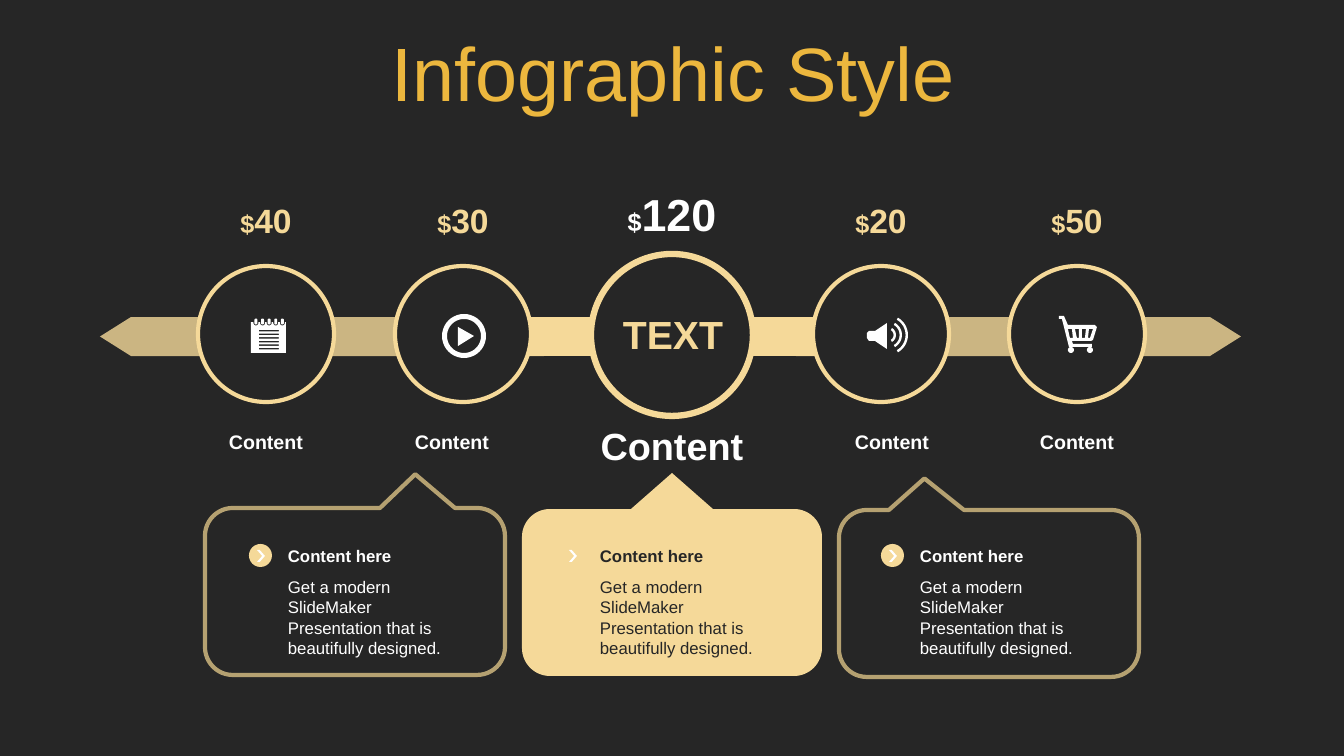
"""Build a dark infographic slide with a five-step price line and three callout cards."""
from dataclasses import dataclass
from math import cos, radians, sin

from lxml.etree import SubElement
from pptx import Presentation
from pptx.dml.color import RGBColor
from pptx.enum.shapes import MSO_SHAPE
from pptx.enum.text import MSO_ANCHOR, PP_ALIGN
from pptx.oxml.ns import qn
from pptx.util import Emu, Pt


@dataclass(frozen=True)
class Theme:
    """Colours, font and type sizes of the slide."""
    font: str = "Arial"
    dark: str = "262626"
    sand: str = "F5D999"
    bronze: str = "B5A171"
    white: str = "FFFFFF"
    title_stops: tuple = ((0, "B58312"), (6, "ECB73E"), (69, "F9E8C2"), (100, "ECB73E"))
    title: int = 54
    hub: int = 28
    hub_label: int = 27
    hub_price: int = 32
    price: int = 24
    currency: int = 18
    label: int = 14
    body: int = 12


THEME = Theme()
SCALE = 914400 / 100.8
TITLE = "Infographic Style"
HUB = {"text": "TEXT", "price": "120", "label": "Content", "centre": 672}
STEPS = [
    {"price": "40", "label": "Content", "centre": 266, "label_centre": 266},
    {"price": "30", "label": "Content", "centre": 463, "label_centre": 452},
    {"price": "20", "label": "Content", "centre": 881, "label_centre": 892},
    {"price": "50", "label": "Content", "centre": 1077, "label_centre": 1077},
]
HEADING = "Content here"
BODY = "Get a modern SlideMaker Presentation that is beautifully designed."
CARDS = [(278, THEME.white), (590, THEME.dark), (910, THEME.white)]
OUTLINED_CALLOUTS = [(205, 508, 0.201, -0.702), (839, 510, -0.215, -0.689)]
ARROWS = [(100, 131, 544), (1241, 1210, 796)]
BAR_TOP, BAR_HEIGHT = 317, 39
CART_FRAME = [(1059, 316), (1064, 316), (1068, 325), (1095, 325), (1097, 327), (1093, 340),
              (1091, 341), (1072, 341), (1073, 344), (1092, 344), (1092, 347), (1069, 347),
              (1062, 319), (1059, 319)]
CART_SLOTS = [(1068, 1070, 1073, 1072), (1075, 1077, 1079, 1079),
              (1082, 1082, 1085, 1086), (1089, 1088, 1090, 1093)]
SPEAKER_CONE = [(887, 323), (887, 349), (875, 341), (869, 341), (867, 338), (867, 333),
                (869, 331), (875, 331)]


def px(length):
    return Emu(round(length * SCALE))


def arc(x, y, radius, start, end, steps=16):
    angles = [radians(start + (end - start) * step / steps) for step in range(steps + 1)]
    return [(x + radius * cos(angle), y + radius * sin(angle)) for angle in angles]


def circle(x, y, radius):
    return arc(x, y, radius, 0, 360, 40)


def rectangle(left, top, width, height):
    right, bottom = left + width, top + height
    return [(left, top), (right, top), (right, bottom), (left, bottom)]


def paint(shape, fill, line=None, width=0):
    shape.shadow.inherit = False
    shape.fill.solid()
    shape.fill.fore_color.rgb = RGBColor.from_string(fill)
    if line:
        shape.line.color.rgb = RGBColor.from_string(line)
        shape.line.width = Pt(width)
    else:
        shape.line.fill.background()
    return shape


def add_preset(shapes, kind, frame, fill, line=None, width=0):
    return paint(shapes.add_shape(kind, *map(px, frame)), fill, line, width)


def add_outline(shapes, contours, fill):
    contours = [[(px(x), px(y)) for x, y in contour] for contour in contours]
    builder = shapes.build_freeform(*contours[0][0], scale=1.0)
    for index, contour in enumerate(contours):
        if index:
            builder.move_to(*contour[0])
        builder.add_line_segments(contour[1:], close=True)
    return paint(builder.convert_to_shape(), fill)


def add_text(shapes, frame, parts, colour, bold=True, align=PP_ALIGN.CENTER,
             anchor=MSO_ANCHOR.MIDDLE):
    box = shapes.add_textbox(*map(px, frame))
    box.text_frame.word_wrap = True
    box.text_frame.vertical_anchor = anchor
    para = box.text_frame.paragraphs[0]
    para.alignment = align
    for text, size in parts:
        span = para.add_run()
        span.text = text
        span.font.name = THEME.font
        span.font.size = Pt(size)
        span.font.bold = bold
        span.font.color.rgb = RGBColor.from_string(colour)
    return para


def add_title(shapes):
    para = add_text(shapes, (35, 31, 1276, 93), [(TITLE, THEME.title)], THEME.sand, bold=False)
    para.line_spacing = 0.9
    span = para.runs[0]
    span.font.fill.gradient()
    span.font.fill.gradient_angle = 90
    next(para._p.iter(qn("a:rPr"))).set("kern", "1200")
    stops = span.font.fill.gradient_stops
    stop_list = next(para._p.iter(qn("a:gsLst")))
    for _ in range(len(stops)):
        stop_list.remove(stop_list[0])
    for position, colour in THEME.title_stops:
        stop = SubElement(stop_list, qn("a:gs"), pos=str(position * 1000))
        SubElement(stop, qn("a:srgbClr"), val=colour)


def add_line(shapes):
    bottom = BAR_TOP + BAR_HEIGHT
    for tip, shoulder, end in ARROWS:
        arrow = add_outline(shapes, [[(tip, BAR_TOP + BAR_HEIGHT / 2), (shoulder, BAR_TOP),
                                      (end, BAR_TOP), (end, bottom), (shoulder, bottom)]],
                            THEME.sand)
        colour = next(arrow.element.spPr.iter(qn("a:srgbClr")))
        SubElement(colour, qn("a:alpha"), val="80000")
    add_preset(shapes, MSO_SHAPE.RECTANGLE, (502, BAR_TOP, 398, BAR_HEIGHT), THEME.sand)


def add_steps(shapes):
    centre = HUB["centre"]
    add_preset(shapes, MSO_SHAPE.OVAL, (centre - 81, 254, 162, 162), THEME.dark, THEME.sand, 4.5)
    add_text(shapes, (centre - 69, 305, 140, 57), [(HUB["text"], THEME.hub)], THEME.sand)
    add_text(shapes, (centre - 70, 181, 140, 65),
             [("$", THEME.currency), (HUB["price"], THEME.hub_price)], THEME.white)
    add_text(shapes, (centre - 91, 417, 182, 56), [(HUB["label"], THEME.hub_label)], THEME.white)
    for step in STEPS:
        centre = step["centre"]
        add_preset(shapes, MSO_SHAPE.OVAL, (centre - 68, 266, 136, 136),
                   THEME.dark, THEME.sand, 3)
        add_text(shapes, (centre - 57, 195, 114, 50),
                 [("$", THEME.currency), (step["price"], THEME.price)], THEME.sand)
        add_text(shapes, (step["label_centre"] - 57, 425, 114, 34),
                 [(step["label"], THEME.label)], THEME.white)


def add_callouts(shapes):
    left, top, right, bottom, radius = 522, 509, 822, 676, 28
    corners = [(right - radius, top + radius, -90), (right - radius, bottom - radius, 0),
               (left + radius, bottom - radius, 90), (left + radius, top + radius, 180)]
    outline = [(631, top), (672, 473), (713, top)]
    for x, y, start in corners:
        outline += arc(x, y, radius, start, start + 90)
    add_outline(shapes, [outline], THEME.sand)
    for left, top, tip_x, tip_y in OUTLINED_CALLOUTS:
        callout = add_preset(shapes, MSO_SHAPE.ROUNDED_RECTANGULAR_CALLOUT,
                             (left, top, 300, 167), THEME.dark, THEME.bronze, 3)
        callout.adjustments[0] = tip_x
        callout.adjustments[1] = tip_y


def add_cards(shapes):
    for left, colour in CARDS:
        group = shapes.add_group_shape().shapes
        add_preset(group, MSO_SHAPE.OVAL, (left - 29, 544, 23, 23), THEME.sand)
        chevron = add_preset(group, MSO_SHAPE.CHEVRON, (left - 21, 550, 8, 12), THEME.white)
        chevron.adjustments[0] = 0.65
        add_text(group, (left, 541, 139, 30), [(HEADING, THEME.body)], colour,
                 align=PP_ALIGN.LEFT)
        add_text(shapes, (left, 572, 198, 92), [(BODY, THEME.body)], colour, bold=False,
                 align=PP_ALIGN.LEFT, anchor=MSO_ANCHOR.TOP)


def add_icons(shapes):
    rings = [256 + 6.6 * index for index in range(5)]
    sheet = [(286, 322), (286, 353), (251, 353), (251, 322)]
    for ring in rings:
        sheet += [(ring - 2.5, 322)] + arc(ring, 323, 2.5, 180, 0) + [(ring + 2.5, 322)]
    pills = [arc(ring, 320, 1.5, 180, 360) + arc(ring, 323, 1.5, 0, 180) for ring in rings]
    rows = [rectangle(259, 330 + 3.6 * index, 20, 1.5) for index in range(6)]
    waves = [arc(888, 335, radius, -60, 60) + arc(888, 335, radius - 2.4, 60, -60)
             for radius in (8, 14, 20)]
    slots = [list(zip(slot, (329, 338, 338, 329))) for slot in CART_SLOTS]
    wheels = [circle(x, 350, 3) for x in (1071, 1090)]
    play = [circle(464, 336, 22), circle(464, 336, 17), [(458, 327), (474, 336), (458, 346)]]
    for icon in ([sheet, *pills, *rows], play, [SPEAKER_CONE, *waves],
                 [CART_FRAME, *slots, *wheels]):
        add_outline(shapes, icon, THEME.white)


def main():
    deck = Presentation()
    deck.slide_width, deck.slide_height = px(1344), px(756)
    page = deck.slides.add_slide(deck.slide_layouts[6])
    page.background.fill.solid()
    page.background.fill.fore_color.rgb = RGBColor.from_string(THEME.dark)
    for add_part in (add_title, add_line, add_steps, add_callouts, add_cards, add_icons):
        add_part(page.shapes)
    deck.save("out.pptx")


if __name__ == "__main__":
    main()
